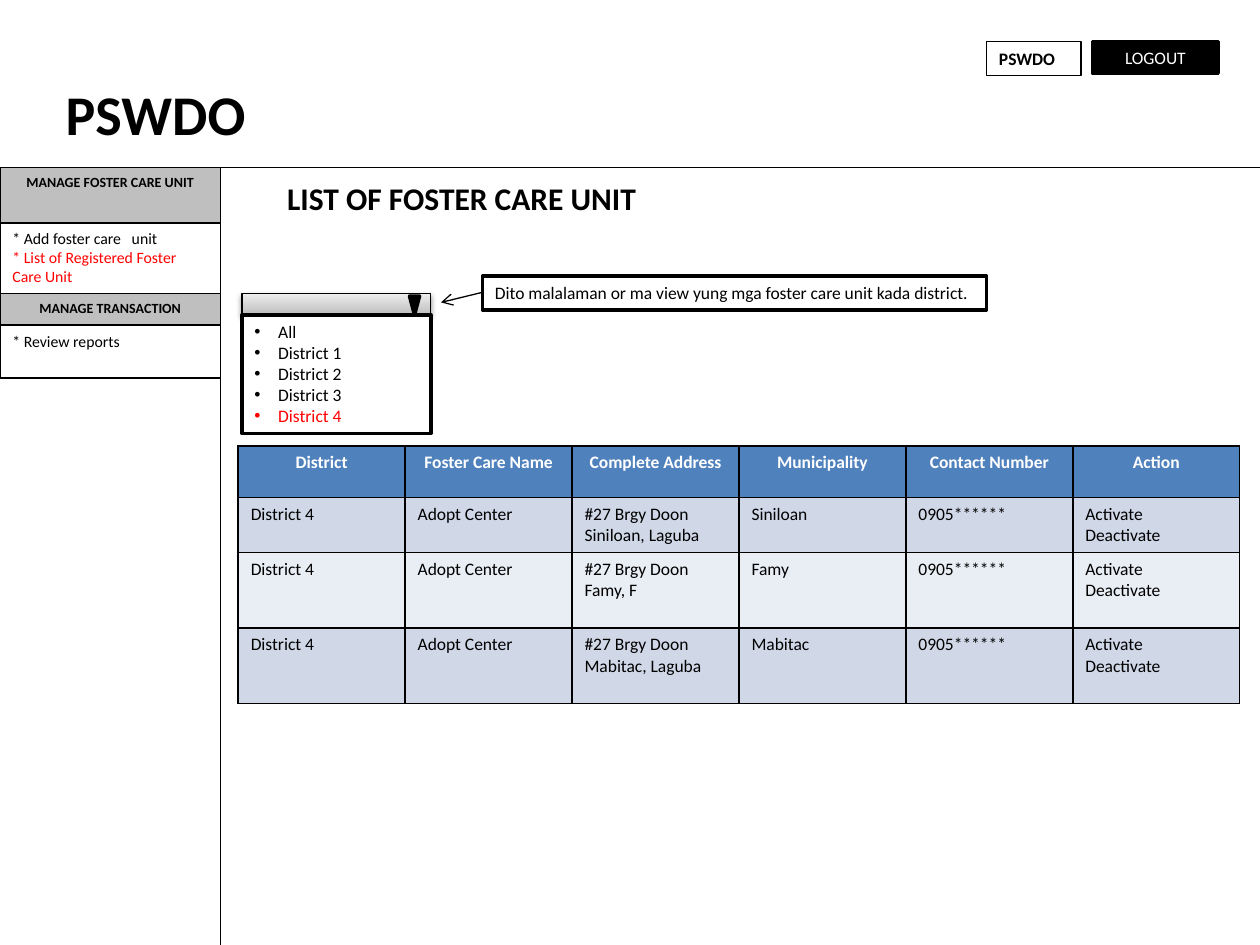
from lxml import etree
from pptx import Presentation
from pptx import util as u
from pptx.dml.color import RGBColor
from pptx.enum import shapes, text
from pptx.oxml import ns

BLACK = RGBColor(0, 0, 0)
WHITE = RGBColor(255, 255, 255)
RED = RGBColor(255, 0, 0)
GREY = RGBColor(0xBF, 0xBF, 0xBF)
BLUE = RGBColor(0x4F, 0x81, 0xBD)
BAND_DARK = RGBColor(0xD0, 0xD8, 0xE8)
BAND_LIGHT = RGBColor(0xE9, 0xED, 0xF4)
LEFT, CENTER = text.PP_ALIGN.LEFT, text.PP_ALIGN.CENTER
RECT = shapes.MSO_SHAPE.RECTANGLE


def write(tf, lines, align=LEFT, **font):
    """Fill a text frame with (text, colour) lines, one paragraph each."""
    tf.word_wrap = True
    tf.vertical_anchor = text.MSO_ANCHOR.TOP
    for i, (line, color) in enumerate(lines):
        p = tf.paragraphs[0] if i == 0 else tf.add_paragraph()
        p.alignment = align
        r = p.add_run()
        r.text = line
        for name, value in {"name": "Calibri", "bold": False, **font}.items():
            setattr(r.font, name, value)
        r.font.color.rgb = color


def add_box(x, y, w, h, fill, weight=0.75, kind=RECT):
    sp = s.shapes.add_shape(kind, *map(u.Inches, (x, y, w, h)))
    sp.shadow.inherit = False
    if fill is None:
        sp.fill.background()
    else:
        sp.fill.solid()
        sp.fill.fore_color.rgb = fill
    sp.line.color.rgb = BLACK
    sp.line.width = u.Pt(weight)
    return sp


prs = Presentation()
prs.slide_width, prs.slide_height = u.Inches(10), u.Inches(7.5)
s = prs.slides.add_slide(prs.slide_layouts[5])

# Title and list heading
title = s.shapes.title
title.left, title.top, title.width, title.height = map(u.Inches, (0.42, 0.58, 3, 0.64))
write(title.text_frame, [("PSWDO", BLACK)], size=u.Pt(32), bold=True)
heading = s.shapes.add_textbox(*map(u.Inches, (1.75, 1.37, 3.83, 0.4)))
write(heading.text_frame, [("LIST OF FOSTER CARE UNIT", BLACK)], CENTER,
      size=u.Pt(18), bold=True)

# Frame lines and the arrow from the note to the drop-down
for x1, y1, x2, y2, arrow in [
    (1.75, 1.33, 1.75, 7.5, False),
    (0, 1.33, 10, 1.33, False),
    (3.83, 2.32, 3.5, 2.4, True),
]:
    line = s.shapes.add_connector(shapes.MSO_CONNECTOR.STRAIGHT,
                                  *map(u.Inches, (x1, y1, x2, y2)))
    line.line.color.rgb = BLACK
    line.line.width = u.Pt(0.75)
    if arrow:
        etree.SubElement(line.line._get_or_add_ln(), ns.qn("a:tailEnd"), type="arrow")
    etree.SubElement(line._element.spPr, ns.qn("a:effectLst"))

# Side menu
for y, h, fill, size, lines in [
    (1.33, 0.44, GREY, 8, [("MANAGE FOSTER CARE UNIT", BLACK)]),
    (1.77, 0.56, WHITE, 9, [("* Add foster care   unit", BLACK),
                            ("* List of Registered Foster Care Unit", RED)]),
    (2.33, 0.25, GREY, 8, [("MANAGE TRANSACTION", BLACK)]),
    (2.58, 0.42, WHITE, 9, [("* Review reports", BLACK)]),
]:
    is_header = fill == GREY
    sp = add_box(0, y, 1.75, h, fill)
    write(sp.text_frame, lines, CENTER if is_header else LEFT,
          size=u.Pt(size), bold=is_header)

# User name, logout button and note
user = add_box(7.83, 0.33, 0.75, 0.27, None)
write(user.text_frame, [("PSWDO", BLACK)], size=u.Pt(10), bold=True)
logout = add_box(8.67, 0.33, 1, 0.25, BLACK, 2)
write(logout.text_frame, [("LOGOUT", WHITE)], CENTER, size=u.Pt(10))
logout.text_frame.vertical_anchor = text.MSO_ANCHOR.MIDDLE
note = add_box(3.83, 2.19, 4, 0.27, WHITE, 2)
write(note.text_frame, [("Dito malalaman or ma view yung mga foster care unit kada district.",
                         BLACK)], size=u.Pt(10))

# Drop-down bar with gradient and soft shadow
bar = add_box(1.92, 2.33, 1.5, 0.17, WHITE)
bar.fill.gradient()
bar.fill.gradient_angle = 90
for stop, shade in zip(bar.fill.gradient_stops, (0xBD, 0xEE)):
    stop.color.rgb = RGBColor(shade, shade, shade)
effects = bar._element.spPr.find(ns.qn("a:effectLst"))
shadow = etree.SubElement(effects, ns.qn("a:outerShdw"), blurRad=str(u.Pt(3.1)),
                          dist=str(u.Pt(1.6)), dir="5400000", rotWithShape="0")
shade = etree.SubElement(shadow, ns.qn("a:srgbClr"), val=str(BLACK))
etree.SubElement(shade, ns.qn("a:alpha"), val="38000")
add_box(3.25, 2.35, 0.08, 0.15, BLACK, 2, shapes.MSO_SHAPE.FLOWCHART_MERGE)

# Drop-down options
options = add_box(1.92, 2.5, 1.5, 0.94, WHITE, 2)
write(options.text_frame,
      [("All", BLACK)] + [(f"District {n}", RED if n == 4 else BLACK) for n in range(1, 5)],
      size=u.Pt(10))
for p in options.text_frame.paragraphs:
    pPr = p._p.get_or_add_pPr()
    pPr.set("marL", str(u.Inches(0.19)))
    pPr.set("indent", str(-u.Inches(0.19)))
    etree.SubElement(pPr, ns.qn("a:buFont"), typeface="Arial")
    etree.SubElement(pPr, ns.qn("a:buChar"), char="•")

# Table of foster care units
rows = [["District", "Foster Care Name", "Complete Address", "Municipality",
         "Contact Number", "Action"]]
for town, place in [("Siniloan", "Siniloan, Laguba"), ("Famy", "Famy, F"),
                    ("Mabitac", "Mabitac, Laguba")]:
    rows.append(["District 4", "Adopt Center", f"#27 Brgy Doon {place}", town,
                 "0905******", "Activate\nDeactivate"])
table = s.shapes.add_table(len(rows), len(rows[0]),
                           *map(u.Inches, (1.89, 3.54, 7.95, 2.04))).table
for row, height in zip(table.rows, (0.41, 0.43, 0.6, 0.6)):
    row.height = u.Inches(height)
for i, row in enumerate(rows):
    fill = BLUE if i == 0 else BAND_DARK if i % 2 else BAND_LIGHT
    for j, value in enumerate(row):
        cell = table.cell(i, j)
        cell.fill.solid()
        cell.fill.fore_color.rgb = fill
        color = WHITE if i == 0 else BLACK
        write(cell.text_frame, [(t, color) for t in value.split("\n")],
              CENTER if i == 0 else LEFT, size=u.Pt(10), bold=i == 0)
        tcPr = cell._tc.get_or_add_tcPr()
        for k, side in enumerate(("lnL", "lnR", "lnT", "lnB")):
            ln = etree.Element(ns.qn(f"a:{side}"), w=str(u.Pt(1)))
            solid = etree.SubElement(ln, ns.qn("a:solidFill"))
            etree.SubElement(solid, ns.qn("a:srgbClr"), val=str(BLACK))
            tcPr.insert(k, ln)

prs.save("out.pptx")
